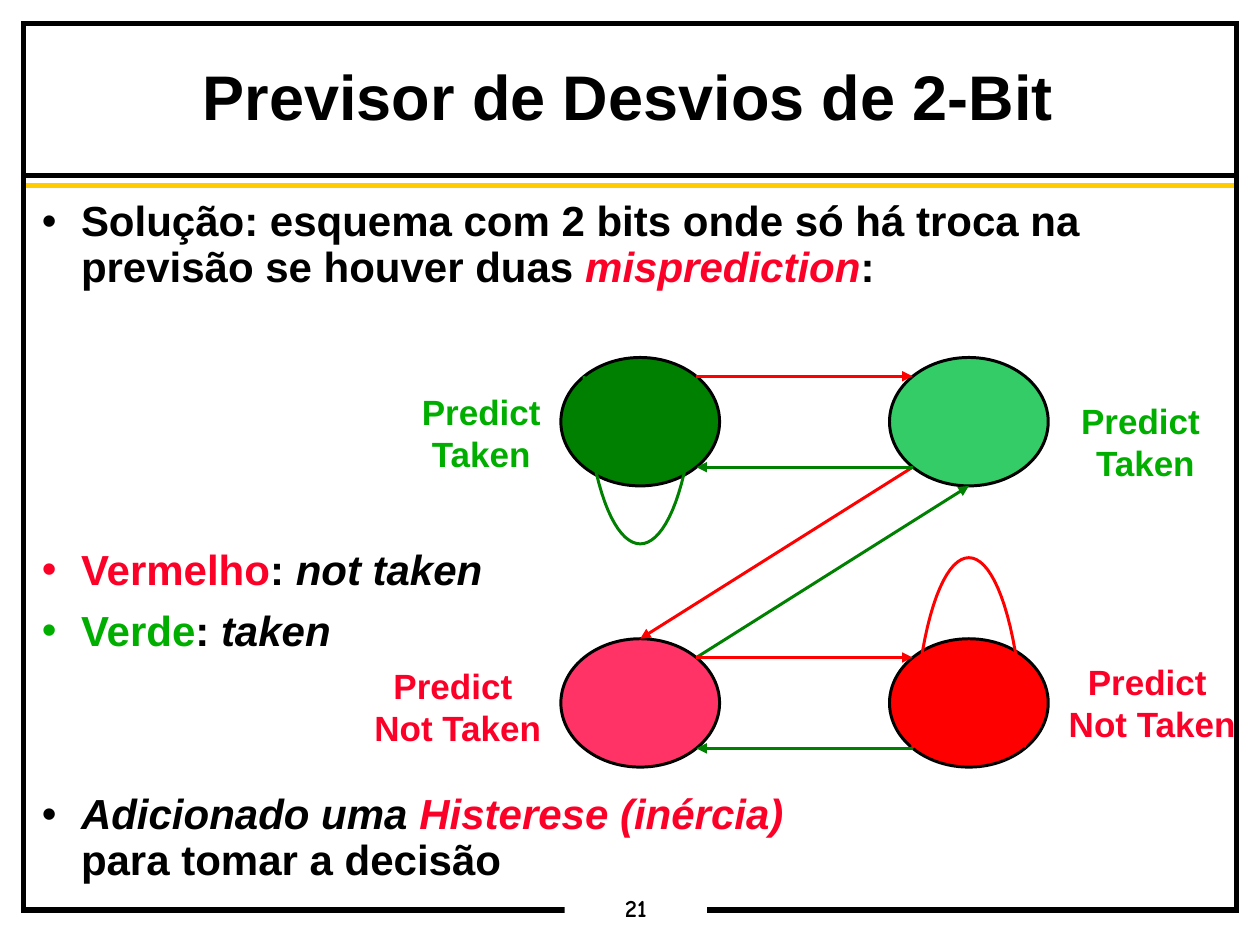
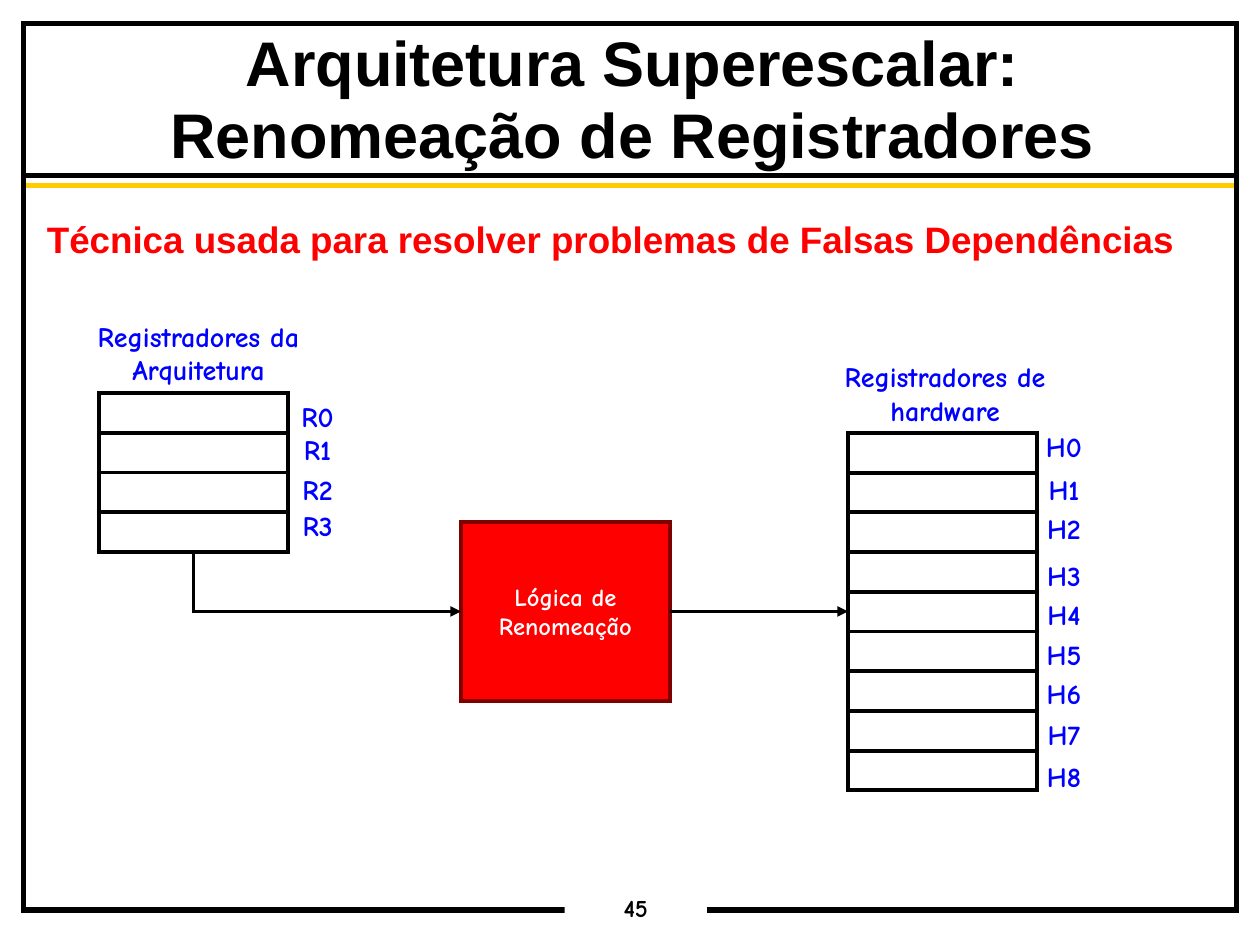
"""Build two computer architecture slides: branch prediction and register renaming."""
from dataclasses import dataclass
from typing import NamedTuple

import pptx
import pptx.dml.color
import pptx.enum.shapes
import pptx.enum.text
import pptx.oxml.ns
import pptx.util
from lxml import etree

RGBColor = pptx.dml.color.RGBColor
BLACK = RGBColor(0x00, 0x00, 0x00)
WHITE = RGBColor(0xFF, 0xFF, 0xFF)
GOLD = RGBColor(0xFF, 0xCC, 0x00)
RED = RGBColor(0xFF, 0x00, 0x00)
MAROON = RGBColor(0x80, 0x00, 0x00)
BLUE = RGBColor(0x00, 0x00, 0xFF)
CRIMSON = RGBColor(0xFC, 0x01, 0x28)
PINK = RGBColor(0xFF, 0x33, 0x66)
GREEN = RGBColor(0x00, 0xAE, 0x00)
DARK_GREEN = RGBColor(0x00, 0x80, 0x00)
LIGHT_GREEN = RGBColor(0x33, 0xCC, 0x66)

SANS, COMIC = "Arial", "Comic Neue"
WIDE_INSETS, SMALL_INSETS, NO_INSETS = (7.2, 3.6), (5, 2.2), (0, 0)
CENTER = pptx.enum.text.PP_ALIGN.CENTER
LEFT = pptx.enum.text.PP_ALIGN.LEFT
TOP = pptx.enum.text.MSO_ANCHOR.TOP
MIDDLE = pptx.enum.text.MSO_ANCHOR.MIDDLE
OVAL = pptx.enum.shapes.MSO_SHAPE.OVAL
RECTANGLE = pptx.enum.shapes.MSO_SHAPE.RECTANGLE

STATE_W, STATE_H = 90.7, 73.4
DIAGONAL = 0.146
ROW_W, ROW_H = 107.8, 22.7
LABEL_W, LABEL_H = 42, 26.6
EDGE = 1.7


class Point(NamedTuple):
    """A place on the slide, in points."""

    x: float
    y: float


class Box(NamedTuple):
    """A rectangle on the slide, in points."""

    x: float
    y: float
    w: float
    h: float


class Run(NamedTuple):
    """A stretch of text with its own colour and slant."""

    text: str
    color: RGBColor = BLACK
    italic: bool = False


@dataclass
class Bullet:
    """A bulleted paragraph of the body."""

    runs: list[Run]
    color: RGBColor = BLACK
    before: float = 9


@dataclass
class State:
    """One state of the predictor with its label."""

    x: float
    y: float
    fill: RGBColor
    label: str
    label_color: RGBColor
    label_box: Box

    def site(self, fx: float, fy: float) -> Point:
        """Return the point at the given fractions of width and height."""
        return Point(self.x + fx * STATE_W, self.y + fy * STATE_H)


@dataclass
class RegisterBank:
    """A stack of registers with a caption and row labels."""

    x: float
    y: float
    caption: str
    caption_box: Box
    prefix: str
    label_x: float
    label_tops: list[float]


def write(tf, content, *, size: float, font: str = SANS, color: RGBColor = BLACK,
          align=CENTER, spacing: float = 1, before: float = 0, anchor=TOP,
          insets=WIDE_INSETS, wrap: bool = True, grow: bool = True) -> None:
    """Fill a text frame with a string or a list of bullets."""
    auto = pptx.enum.text.MSO_AUTO_SIZE
    tf.word_wrap, tf.vertical_anchor = wrap, anchor
    tf.auto_size = auto.SHAPE_TO_FIT_TEXT if grow else auto.NONE
    tf.margin_left = tf.margin_right = pptx.util.Pt(insets[0])
    tf.margin_top = tf.margin_bottom = pptx.util.Pt(insets[1])
    bulleted = not isinstance(content, str)
    items = content if bulleted else [Bullet([Run(content, color)], before=before)]
    for i, item in enumerate(items):
        p = tf.add_paragraph() if i else tf.paragraphs[0]
        p.alignment, p.line_spacing = align, spacing
        p.space_before = pptx.util.Pt(item.before)
        if bulleted:
            add_bullet(p, item.color)
        for run in item.runs:
            for j, line in enumerate(run.text.split("\n")):
                if j:
                    p.add_line_break()
                if line:
                    r = p.add_run()
                    r.text = line
                    r.font.name, r.font.size = font, pptx.util.Pt(size)
                    r.font.bold, r.font.italic = True, run.italic
                    r.font.color.rgb = run.color


def add_bullet(p, color: RGBColor) -> None:
    """Give a paragraph a hanging round bullet."""
    qn = pptx.oxml.ns.qn
    ppr = p._p.get_or_add_pPr()
    indent = pptx.util.Pt(22.3)
    ppr.set("marL", str(indent))
    ppr.set("indent", str(-indent))
    bu_color = etree.SubElement(ppr, qn("a:buClr"))
    etree.SubElement(bu_color, qn("a:srgbClr"), val=str(color))
    etree.SubElement(ppr, qn("a:buFont"), typeface=SANS)
    etree.SubElement(ppr, qn("a:buChar"), char="•")


def add_text(s, box: Box, content, **fmt) -> None:
    """Add a text box."""
    sp = s.shapes.add_textbox(*map(pptx.util.Pt, box))
    write(sp.text_frame, content, **fmt)


def add_shape(s, kind, box: Box, fill=None, line=None, width: float = 1):
    """Add a preset shape with an optional fill and outline."""
    sp = s.shapes.add_shape(kind, *map(pptx.util.Pt, box))
    sp.shadow.inherit = False
    if fill is None:
        sp.fill.background()
    else:
        sp.fill.solid()
        sp.fill.fore_color.rgb = fill
    if line is None:
        sp.line.fill.background()
    else:
        stroke(sp, line, width)
    return sp


def stroke(sp, color: RGBColor, width: float, arrow: bool = False) -> None:
    """Set a mitred outline, with an arrowhead at the end if asked."""
    qn = pptx.oxml.ns.qn
    sp.line.color.rgb, sp.line.width = color, pptx.util.Pt(width)
    ln = sp.element.spPr.find(qn("a:ln"))
    etree.SubElement(ln, qn("a:miter"), lim="800000")
    if arrow:
        etree.SubElement(ln, qn("a:tailEnd"), type="triangle")


def add_line(s, start: Point, end: Point, color: RGBColor, width: float,
             arrow: bool = False) -> None:
    """Add a straight connector."""
    straight = pptx.enum.shapes.MSO_CONNECTOR.STRAIGHT
    cxn = s.shapes.add_connector(straight, *map(pptx.util.Pt, (*start, *end)))
    stroke(cxn, color, width, arrow)
    etree.SubElement(cxn.element.spPr, pptx.oxml.ns.qn("a:effectLst"))


def add_polyline(s, points: list[Point], color: RGBColor, width: float) -> None:
    """Add an open outline that ends in an arrowhead."""
    start, *rest = [tuple(map(pptx.util.Pt, pt)) for pt in points]
    builder = s.shapes.build_freeform(*start)
    builder.add_line_segments(rest, close=False)
    sp = builder.convert_to_shape()
    sp.shadow.inherit = False
    sp.fill.background()
    stroke(sp, color, width, arrow=True)


def add_loop(s, start: Point, end: Point, reach: float, color: RGBColor) -> None:
    """Add a self transition that bulges vertically by the reach."""
    steps = 40
    points = []
    for i in range(steps + 1):
        t = i / steps
        across = 0.3 * t + 0.7 * t * t * (3 - 2 * t)
        points.append(Point(start.x + (end.x - start.x) * across,
                            start.y + 4 * reach * t * (1 - t)))
    add_polyline(s, points, color, EDGE)


def add_base(prs, title: str, title_box: Box, page: int, **title_fmt):
    """Add a slide with the frame, the bands, the page number and a title."""
    s = prs.slides.add_slide(prs.slide_layouts[6])
    for y, color in ((100.1, BLACK), (105.8, GOLD)):
        add_line(s, Point(14.2, y), Point(707.4, y), color, 3)
    add_shape(s, RECTANGLE, Box(13.4, 13.4, 693.2, 506.7), line=BLACK, width=3)
    sp = add_shape(s, RECTANGLE, Box(322.6, 510, 81.4, 19.4), fill=WHITE)
    write(sp.text_frame, str(page), size=14, font=COMIC, spacing=0.9,
          insets=SMALL_INSETS, wrap=False)
    add_text(s, title_box, title, size=36, spacing=0.95, **title_fmt)
    return s


def predictor_slide(prs) -> None:
    """Draw the state diagram of the 2-bit predictor."""
    s = add_base(prs, "Previsor de Desvios de 2-Bit", Box(11.5, 16.8, 694.8, 79.2), 21,
                 anchor=MIDDLE, insets=NO_INSETS)
    bullets = [
        Bullet([Run("Solução: esquema com 2 bits onde só há troca na previsão se houver duas "),
                Run("misprediction", CRIMSON, True), Run(":")]),
        Bullet([Run("Vermelho", CRIMSON), Run(": "), Run("not taken", italic=True)],
               CRIMSON, 147.3),
        Bullet([Run("Verde", GREEN), Run(": "), Run("taken", italic=True)], GREEN),
        Bullet([Run("Adicionado uma", italic=True),
                Run(" Histerese (inércia) \n", CRIMSON, True),
                Run("para tomar a decisão")], before=78.9),
    ]
    add_text(s, Box(16.9, 111.1, 684.7, 468.7), bullets, size=24, align=LEFT,
             spacing=0.9, grow=False)

    left, right, upper, lower = 320.5, 508.3, 204.3, 365
    states = [
        State(left, upper, DARK_GREEN, "Predict\nTaken", GREEN, Box(227, 219.6, 96, 54.7)),
        State(right, upper, LIGHT_GREEN, "Predict \nTaken", GREEN,
              Box(606.5, 225, 96, 54.7)),
        State(left, lower, PINK, "Predict \nNot Taken", CRIMSON,
              Box(201.6, 376.3, 120, 54.7)),
        State(right, lower, RED, "Predict \nNot Taken", CRIMSON,
              Box(598.4, 373.7, 120, 54.7)),
    ]
    for state in states:
        add_text(s, state.label_box, state.label, size=20, color=state.label_color, wrap=False)
        add_shape(s, OVAL, Box(state.x, state.y, STATE_W, STATE_H), state.fill, BLACK, EDGE)

    taken, weak_taken, weak_not_taken, not_taken = states
    near, far = DIAGONAL, 1 - DIAGONAL
    add_loop(s, taken.site(near, near), taken.site(far, near), 95.8, DARK_GREEN)
    add_loop(s, not_taken.site(near, far), not_taken.site(far, far), -109, RED)
    transitions = [
        (weak_taken.site(near, far), weak_not_taken.site(0.5, 0), RED),
        (weak_not_taken.site(far, near), weak_taken.site(0.5, 1), DARK_GREEN),
    ]
    for a, b in ((taken, weak_taken), (weak_not_taken, not_taken)):
        transitions += [(a.site(far, near), b.site(near, near), RED),
                        (b.site(near, far), a.site(far, far), DARK_GREEN)]
    for start, end, color in transitions:
        add_line(s, start, end, color, EDGE, arrow=True)


def renaming_slide(prs) -> None:
    """Draw the register renaming scheme."""
    s = add_base(prs, "Arquitetura Superescalar:\nRenomeação de Registradores",
                 Box(14, 14.5, 694.8, 86.4), 45, insets=SMALL_INSETS)
    add_text(s, Box(19.7, 123.4, 686.2, 369.4),
             "Técnica usada para resolver problemas de Falsas Dependências",
             size=21, color=RED, align=LEFT, spacing=0.9, before=7.8)
    logic = Box(263.5, 298.1, 119.2, 102.6)
    sp = add_shape(s, RECTANGLE, logic, RED, MAROON, 2.25)
    write(sp.text_frame, "Lógica de Renomeação", size=14, font=COMIC, color=WHITE,
          before=10, anchor=MIDDLE, grow=False)

    banks = [
        RegisterBank(56.8, 224.6, "Registradores da Arquitetura",
                     Box(39.6, 179, 147.6, 46.1), "R", 160.5,
                     [224.6, 243.4, 266.4, 287.3]),
        RegisterBank(484.6, 247.4, "Registradores de hardware",
                     Box(445, 201.9, 190.1, 46.1), "H", 587,
                     [241.9, 266.4, 288.7, 315.4, 337.7, 360.7, 383.3, 406.3, 430.6]),
    ]
    label_fmt = dict(size=16, font=COMIC, color=BLUE, before=10)
    for bank in banks:
        rows = len(bank.label_tops)
        add_shape(s, RECTANGLE, Box(bank.x, bank.y, ROW_W, rows * ROW_H), None, BLACK, 2.25)
        for i in range(1, rows):
            y = bank.y + i * ROW_H
            add_line(s, Point(bank.x, y), Point(bank.x + ROW_W, y), BLACK, 2.25)
        add_text(s, bank.caption_box, bank.caption, **label_fmt)
        for i, top in enumerate(bank.label_tops):
            add_text(s, Box(bank.label_x, top, LABEL_W, LABEL_H), f"{bank.prefix}{i}",
                     wrap=False, **label_fmt)

    source, target = banks
    middle = logic.y + logic.h / 2
    source_x = source.x + ROW_W / 2
    source_bottom = source.y + len(source.label_tops) * ROW_H
    add_polyline(s, [Point(source_x, source_bottom), Point(source_x, middle),
                     Point(logic.x, middle)], BLACK, 2)
    add_line(s, Point(logic.x + logic.w, middle), Point(target.x, middle), BLACK, 2, arrow=True)


def main() -> None:
    """Build and save the presentation."""
    prs = pptx.Presentation()
    prs.slide_width, prs.slide_height = pptx.util.Pt(720), pptx.util.Pt(540)
    predictor_slide(prs)
    renaming_slide(prs)
    prs.save("out.pptx")


if __name__ == "__main__":
    main()
